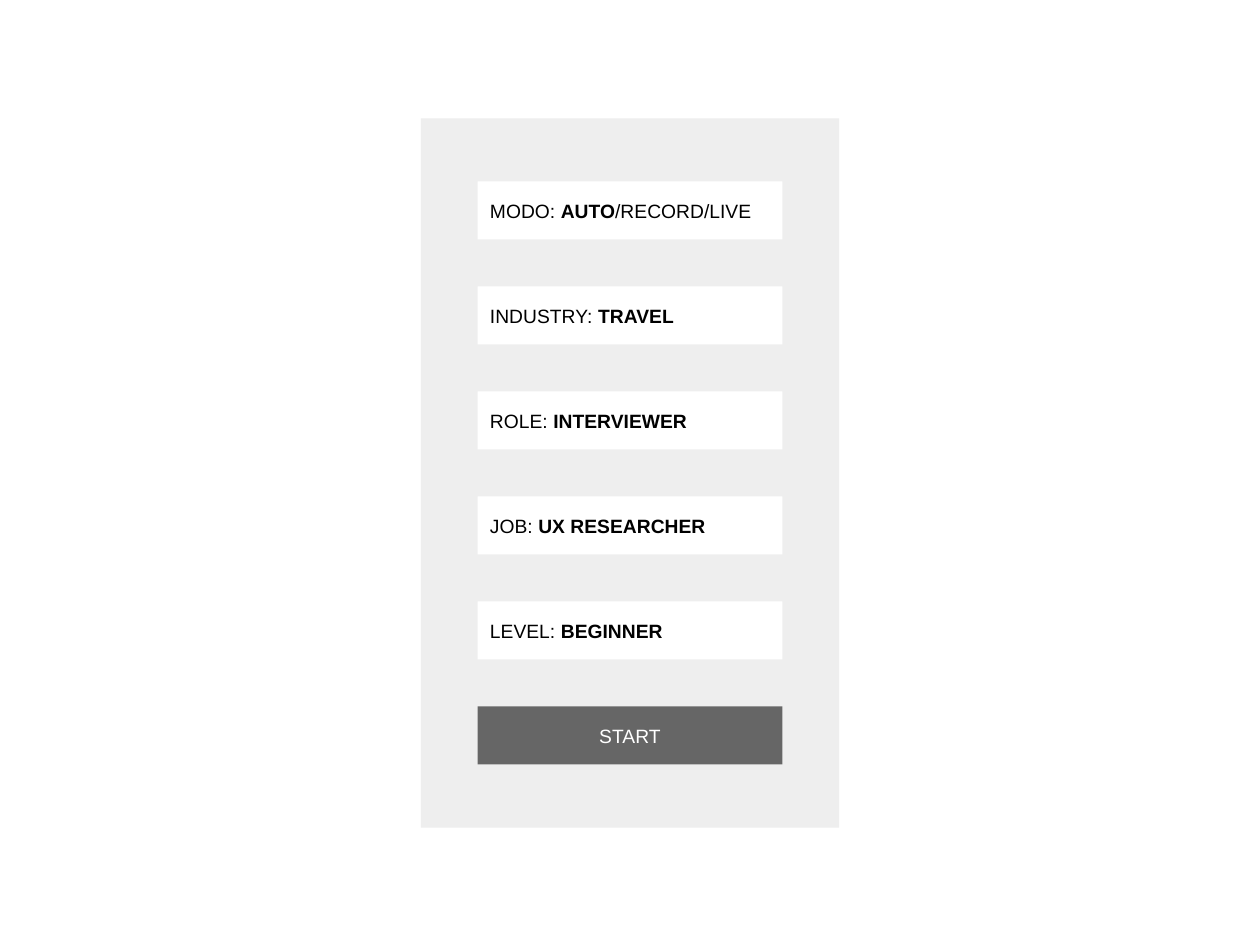
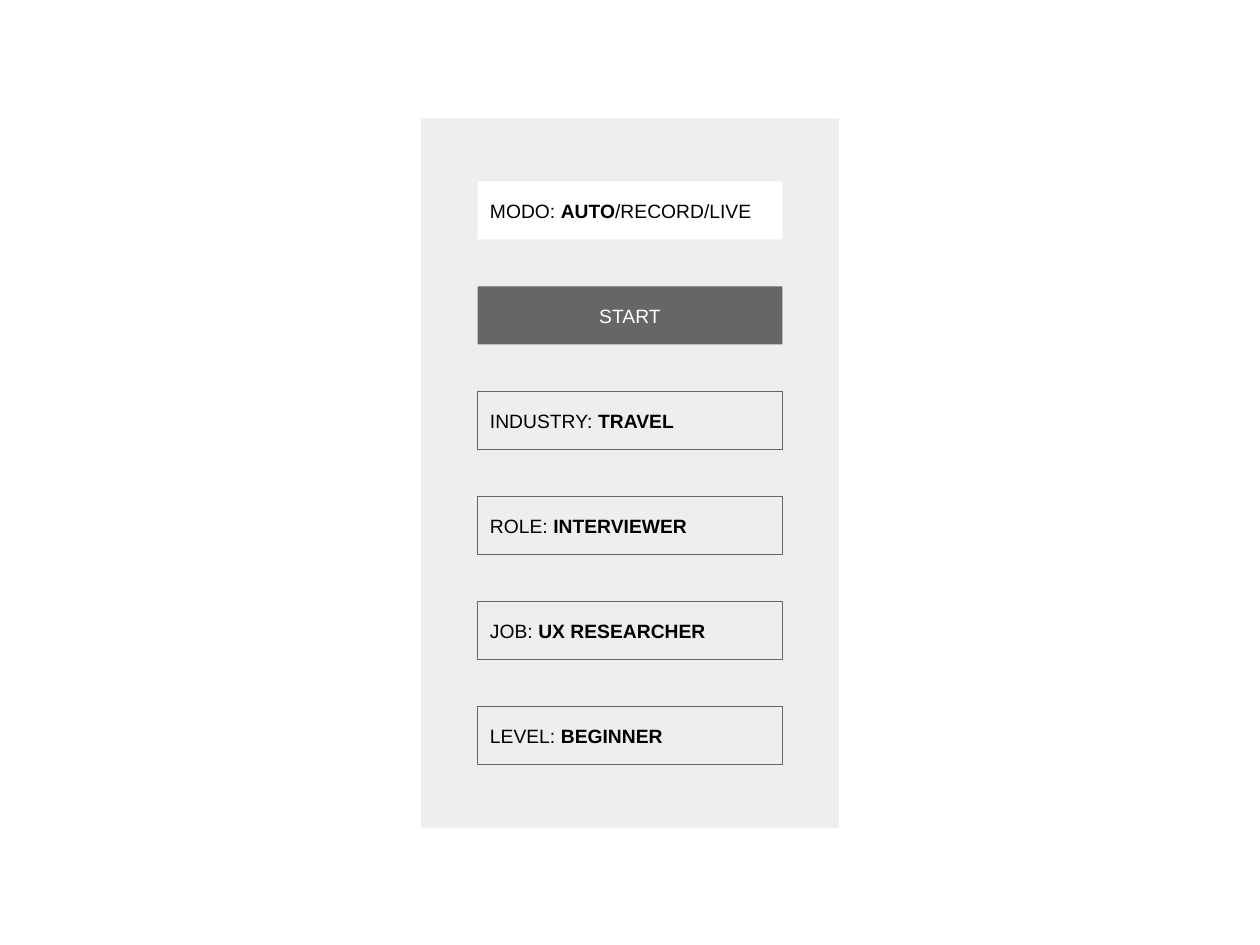
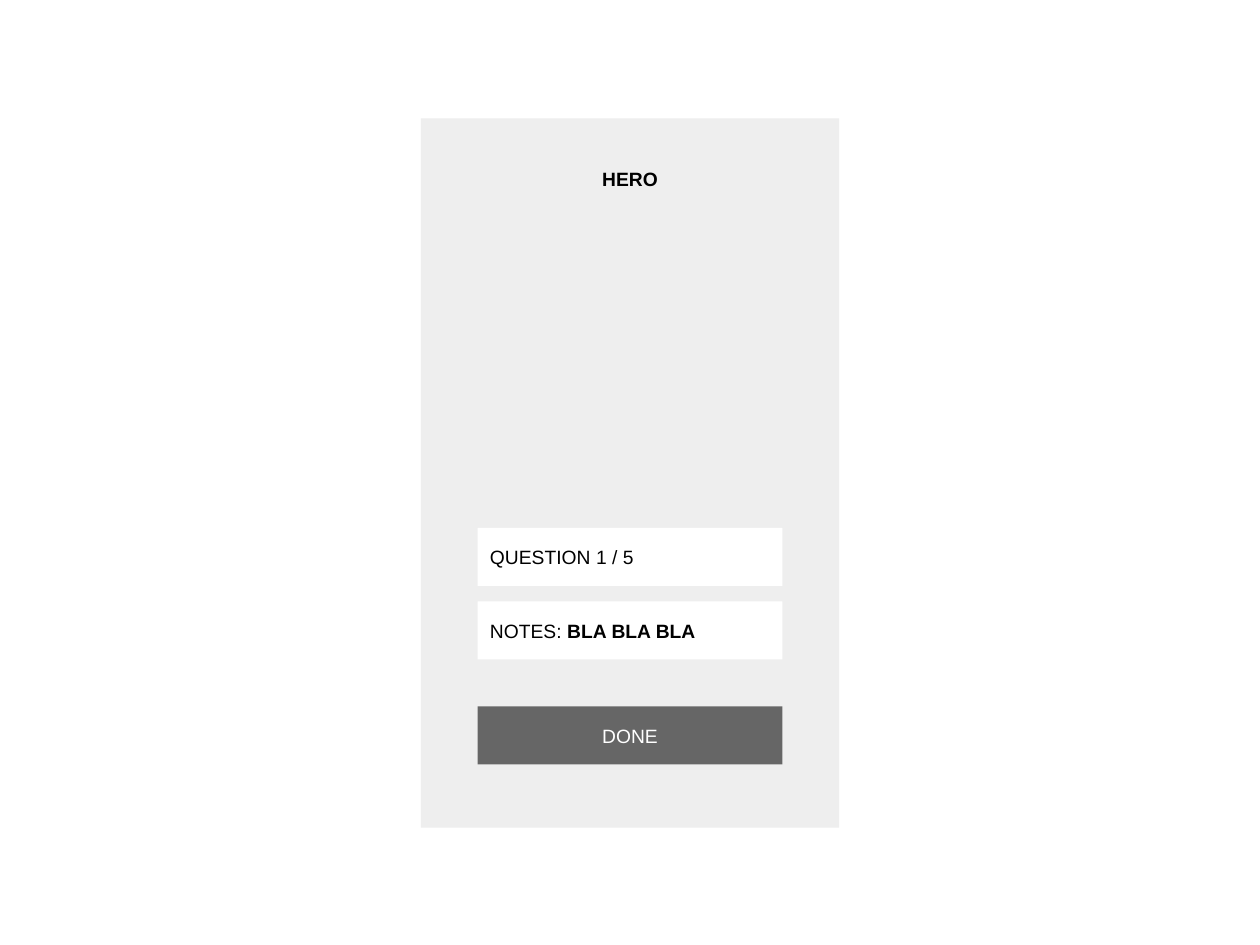
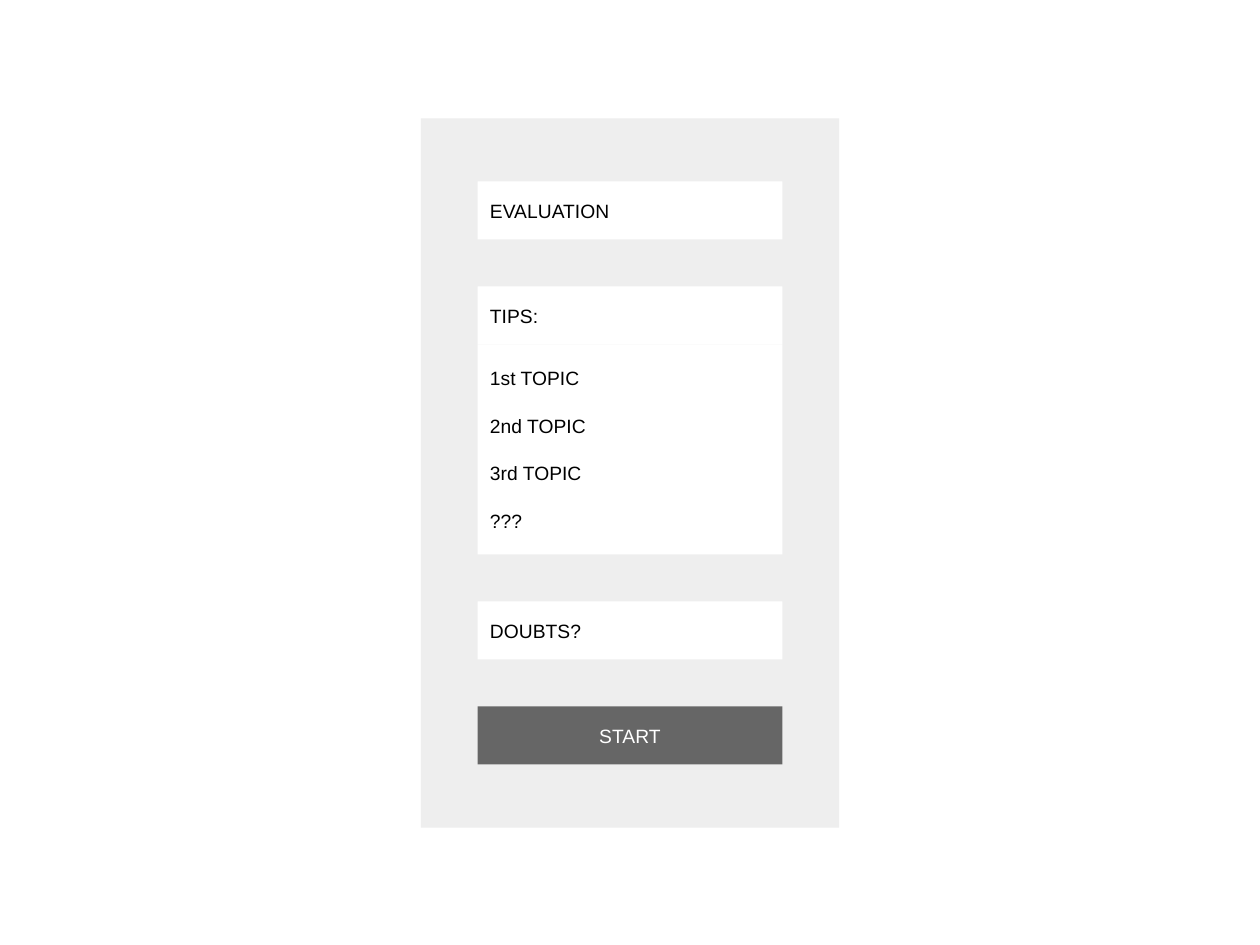
from pptx import Presentation
from pptx.dml.color import RGBColor
from pptx.enum.shapes import MSO_SHAPE
from pptx.enum.text import MSO_ANCHOR, MSO_AUTO_SIZE, PP_ALIGN
from pptx.util import Inches, Pt

TITLE_ONLY, BLANK = 5, 6
LEFT, WIDTH, HEIGHT = 3.79, 2.42, 0.46
TOP, STEP = 1.44, 5 / 6
MODE = "MODO: *AUTO*/RECORD/LIVE"
SETTINGS = ["INDUSTRY: *TRAVEL*", "ROLE: *INTERVIEWER*",
            "JOB: *UX RESEARCHER*", "LEVEL: *BEGINNER*"]


def rgb(color):
    return RGBColor.from_string(color)


def apply(obj, values):
    for name, value in values.items():
        setattr(obj, name, value)


def row(index):
    return TOP + index * STEP


class Wireframe:
    black, white, dark, light = "000000", "FFFFFF", "666666", "EEEEEE"
    font = {"name": "Arial", "size": Pt(11)}
    frame = {"word_wrap": True, "auto_size": MSO_AUTO_SIZE.NONE,
             "vertical_anchor": MSO_ANCHOR.MIDDLE,
             "margin_left": Inches(0.1), "margin_right": Inches(0.1),
             "margin_top": Inches(0.1), "margin_bottom": Inches(0.1)}

    def __init__(self, prs):
        self.prs = prs
        self.s = None

    def screen(self, layout=BLANK):
        self.s = self.prs.slides.add_slide(self.prs.slide_layouts[layout])
        for sp in list(self.s.placeholders):
            if sp != self.s.shapes.title:
                sp.element.getparent().remove(sp.element)
        panel = self.rect(3.34, 0.94, 3.32, 5.63, self.light)
        self.s.shapes.element.insert(2, panel.element)

    def rect(self, x, y, w, h, fill=None, line=None):
        sp = self.s.shapes.add_shape(
            MSO_SHAPE.RECTANGLE, Inches(x), Inches(y), Inches(w), Inches(h))
        sp.shadow.inherit = False
        if fill:
            sp.fill.solid()
            sp.fill.fore_color.rgb = rgb(fill)
        else:
            sp.fill.background()
        if line:
            sp.line.color.rgb = rgb(line)
            sp.line.width = Pt(0.75)
        else:
            sp.line.fill.background()
        return sp

    def text(self, sp, lines, color=black, align=PP_ALIGN.LEFT, gap=0):
        tf = sp.text_frame
        apply(tf, self.frame)
        for i, line in enumerate(lines):
            p = tf.add_paragraph() if i else tf.paragraphs[0]
            apply(p, {"alignment": align, "space_before": Pt(gap if i else 0)})
            for j, part in enumerate(line.split("*")):
                if part:
                    r = p.add_run()
                    r.text = part
                    apply(r.font, {**self.font, "bold": j % 2 == 1})
                    r.font.color.rgb = rgb(color)

    def field(self, y, label):
        self.text(self.rect(LEFT, y, WIDTH, HEIGHT, self.white), [label])

    def outlined(self, y, label):
        self.text(self.rect(LEFT, y, WIDTH, HEIGHT, line=self.dark), [label])

    def button(self, y, label):
        sp = self.rect(LEFT, y, WIDTH, HEIGHT, self.dark)
        self.text(sp, [label], self.white, PP_ALIGN.CENTER)

    def topics(self, y, h, lines):
        self.text(self.rect(LEFT, y, WIDTH, h, self.white), lines, gap=14)

    def title(self, y, label):
        sp = self.s.shapes.title
        apply(sp, {"left": Inches(LEFT), "top": Inches(y),
                   "width": Inches(WIDTH), "height": Inches(HEIGHT)})
        self.text(sp, [f"*{label}*"], align=PP_ALIGN.CENTER)


prs = Presentation()
prs.slide_width, prs.slide_height = Inches(10), Inches(7.5)
ui = Wireframe(prs)

ui.screen()
for i, label in enumerate([MODE] + SETTINGS):
    ui.field(row(i), label)
ui.button(row(5), "START")

ui.screen()
ui.field(row(0), MODE)
ui.button(row(1), "START")
for i, label in enumerate(SETTINGS, 2):
    ui.outlined(row(i), label)

ui.screen(TITLE_ONLY)
ui.title(1.19, "HERO")
ui.field(4.19, "QUESTION 1 / 5")
ui.field(row(4), "NOTES: *BLA BLA BLA*")
ui.button(row(5), "DONE")

ui.screen()
ui.field(row(0), "EVALUATION")
ui.field(row(1), "TIPS:")
ui.topics(row(1) + HEIGHT, 2 * STEP,
          ["1st TOPIC", "2nd TOPIC", "3rd TOPIC", "???"])
ui.field(row(4), "DOUBTS?")
ui.button(row(5), "START")

prs.save("out.pptx")
